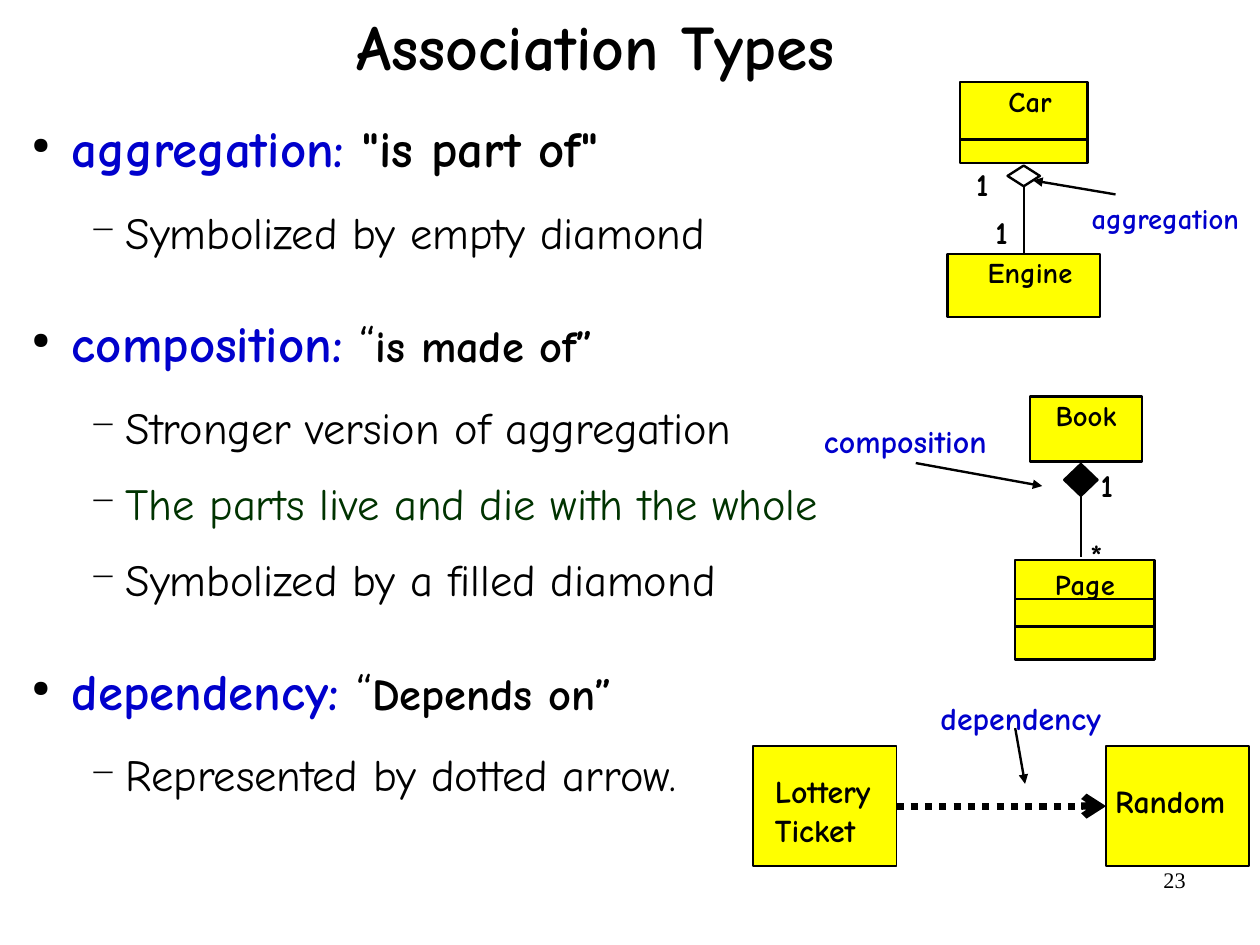
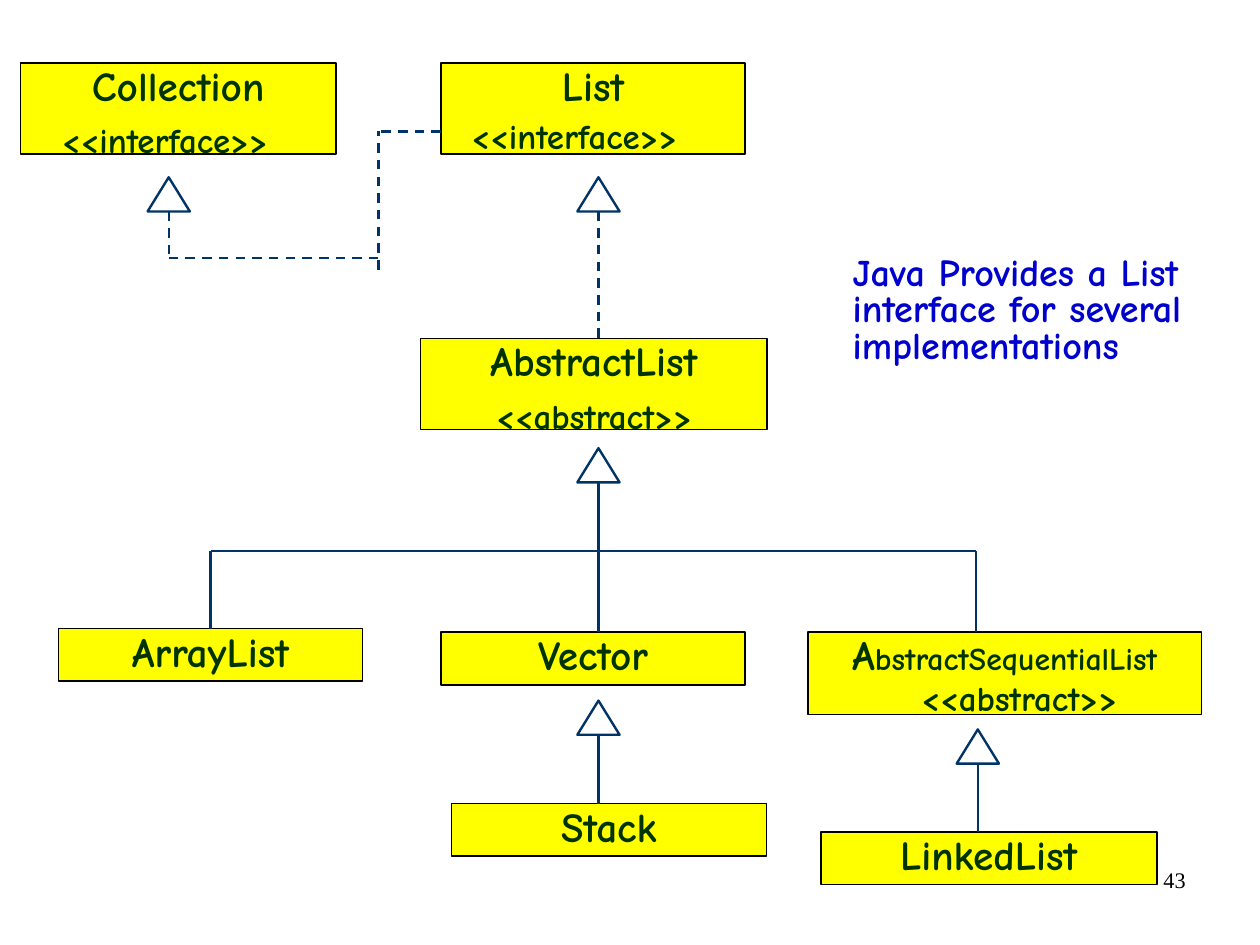
import pptx
import pptx.util
import pptx.dml.color
import pptx.enum.dml
import pptx.enum.shapes
import pptx.enum.text
import pptx.oxml.ns
import lxml.etree

Cm = pptx.util.Cm
Pt = pptx.util.Pt
Kind = pptx.enum.shapes.MSO_SHAPE
Dash = pptx.enum.dml.MSO_LINE
Align = pptx.enum.text.PP_ALIGN
Anchor = pptx.enum.text.MSO_ANCHOR

HUES = {
    "ink": "000000",
    "paper": "FFFFFF",
    "node": "FFFF00",
    "term": "0000CC",
    "leaf": "003300",
    "edge": "003366",
}
FACE = "Comic Neue"
PAD = (0.28, 0.15)
TOP, LEFT, BASE, RIGHT = range(4)
DOT = {"left": 1.17, "hang": -0.89, "sign": "●", "size": 45}
BAR = {"left": 2.36, "hang": -0.79, "sign": "−", "size": 75}


def hue(name):
    return pptx.dml.color.RGBColor.from_string(HUES[name])


def apply(thing, form):
    for key, value in form.items():
        setattr(thing, key, value)


def child(node, tag, **attrs):
    return lxml.etree.SubElement(node, pptx.oxml.ns.qn("a:" + tag), attrs)


def run(text, size, tone="ink", bold=True, face=FACE):
    return text, {"size": Pt(size), "bold": bold, "name": face}, tone


def fill_in(par, runs, form):
    apply(par, form)
    for text, font, tone in runs:
        for i, line in enumerate(text.split("\n")):
            if i:
                par.add_line_break()
            piece = par.add_run()
            piece.text = line
            apply(piece.font, font)
            piece.font.color.rgb = hue(tone)


def set_frame(shape, pad, anchor=Anchor.TOP):
    frame = shape.text_frame
    left, top = pad
    apply(frame, {
        "word_wrap": True,
        "vertical_anchor": anchor,
        "margin_left": Cm(left),
        "margin_right": Cm(min(left, 0.28)),
        "margin_top": Cm(top),
        "margin_bottom": Cm(min(top, 0.15)),
    })
    return frame


def label(slide, box, runs, pad=PAD, anchor=Anchor.TOP, **form):
    shape = slide.shapes.add_textbox(*map(Cm, box))
    frame = set_frame(shape, pad, anchor)
    fill_in(frame.paragraphs[0], runs, form)


def block(slide, box, runs=(), kind=Kind.RECTANGLE, fill="node",
          line="ink", width=1.5, pad=PAD, **form):
    shape = slide.shapes.add_shape(kind, *map(Cm, box))
    shape.shadow.inherit = False
    if fill:
        shape.fill.solid()
        shape.fill.fore_color.rgb = hue(fill)
    else:
        shape.fill.background()
    if line:
        shape.line.color.rgb = hue(line)
        shape.line.width = Pt(width)
    else:
        shape.line.fill.background()
    frame = set_frame(shape, pad)
    fill_in(frame.paragraphs[0], runs, form)
    return shape


def link(slide, start, end, tone="ink", width=1.5, dash=None, head=None):
    joins = [spot if hasattr(spot[0], "shape_id") else None
             for spot in (start, end)]
    ends = [(0, 0) if join else (Cm(spot[0]), Cm(spot[1]))
            for join, spot in zip(joins, (start, end))]
    wire = slide.shapes.add_connector(
        pptx.enum.shapes.MSO_CONNECTOR.STRAIGHT, *ends[0], *ends[1])
    if joins[0]:
        wire.begin_connect(*joins[0])
    if joins[1]:
        wire.end_connect(*joins[1])
    wire.line.color.rgb = hue(tone)
    wire.line.width = Pt(width)
    if dash:
        wire.line.dash_style = dash
    if head:
        child(wire.line._get_or_add_ln(), "tailEnd", type=head)
    child(wire._element.spPr, "effectLst")


def page(deck, number):
    slide = deck.slides.add_slide(deck.slide_layouts[6])
    label(slide, (20.07, 19.13, 6.53, 1.45),
          [run(number, 14, bold=False, face="Times New Roman")],
          pad=(0.25, 0.13), alignment=Align.RIGHT)
    return slide


def title(slide, box, text):
    label(slide, box, [run(text, 40)], pad=(0, 0), anchor=Anchor.MIDDLE,
          alignment=Align.CENTER, line_spacing=0.88)


def points(slide, box, items):
    shape = slide.shapes.add_textbox(*map(Cm, box))
    frame = set_frame(shape, (0, 0))
    for i, (mark, after, runs) in enumerate(items):
        par = frame.paragraphs[0] if i == 0 else frame.add_paragraph()
        props = par._p.get_or_add_pPr()
        props.set("marL", str(Cm(mark["left"])))
        props.set("indent", str(Cm(mark["hang"])))
        child(child(props, "buClr"), "srgbClr", val=HUES["ink"])
        child(props, "buSzPct", val=str(mark["size"] * 1000))
        child(props, "buChar", char=mark["sign"])
        fill_in(par, runs, {"line_spacing": 1.1, "space_after": Pt(after)})


def named(slide, box, text, **form):
    look = {"alignment": Align.CENTER, "line_spacing": 0.88, **form}
    return block(slide, box, [run(text, 18)], **look)


def cuts(slide, box, drops):
    x, y, w, h = box
    for drop in drops:
        link(slide, (x, y + drop), (x + w, y + drop))


def counts(slide, x, y, marks):
    for dx, dy, text in marks:
        label(slide, (x + dx, y + dy, 1.2, 1.12), [run(text, 20)])


def car_part(slide, box):
    x, y, w, h = box
    mid = x + w / 2
    car = (mid - 1.42, y, 2.84, 1.8)
    named(slide, car, "Car", pad=(0.56, 0.13))
    cuts(slide, car, [1.27])
    engine = named(slide, (x, y + h - 1.4, w, 1.4), "Engine", pad=(0.56, 0.13))
    gem = block(slide, (mid - 0.36, y + 1.85, 0.72, 0.46),
                kind=Kind.DIAMOND, fill=None)
    link(slide, (gem, BASE), (engine, TOP))
    counts(slide, x, y, [(0.35, 1.68, "1"), (0.78, 2.74, "1")])
    label(slide, (x + 2.92, y + 2.49, 4.02, 1.04),
          [run("aggregation", 18, "term")])
    link(slide, (x + 3.73, y + 2.49), (x + 1.9, y + 2.18), head="triangle")


def book_part(slide, box):
    x, y, w, h = box
    leaf = (x + w - 3.1, y + h - 2.21, 3.1, 2.21)
    named(slide, (x + 4.86, y, 2.49, 1.45), "Book", pad=(0.28, 0.13))
    named(slide, leaf, "Page", line_spacing=1.0)
    cuts(slide, leaf, [0.86, 1.47])
    gem = block(slide, (x + 5.62, y + 1.5, 0.74, 0.71),
                kind=Kind.DIAMOND, fill="ink")
    link(slide, (gem, BASE), (x + 5.99, y + 3.56))
    counts(slide, x, y, [(6.15, 1.4, "1"), (5.92, 2.95, "*")])
    label(slide, (x, y + 0.41, 5.05, 1.12), [run("composition", 20, "term")])
    link(slide, (x + 2.32, y + 1.48), (x + 5.13, y + 1.99), head="triangle")


def need_part(slide, box):
    x, y, w, h = box
    wide, tall = 3.18, 2.67
    low = y + h - tall
    user = block(slide, (x, low, wide, tall), [run("Lottery\nTicket", 20)],
                 width=1, pad=(0.48, 0.58), alignment=Align.LEFT)
    tool = block(slide, (x + w - wide, low, wide, tall), [run("Random", 20)],
                 pad=(0.2, 0.79), alignment=Align.LEFT)
    link(slide, (user, RIGHT), (tool, LEFT), width=4.5,
         dash=Dash.ROUND_DOT, head="arrow")
    label(slide, (x + 3.88, y, 4.55, 1.12), [run("dependency", 20, "term")])
    link(slide, (x + 5.82, y + 0.81), (x + 6.04, y + 2.05), head="triangle")


def kinds(deck):
    slide = page(deck, "23")
    title(slide, (1.3, 0, 23.88, 2.26), "Association Types")

    def main_item(term, *rest):
        return DOT, 13.8, [run(term, 32, "term"), *rest]

    def sub_item(text, after=10.9, tone="ink"):
        return BAR, after, [run(text, 28, tone, False)]

    quote = run(" “", 32, bold=False)
    points(slide, (0.43, 2.46, 18.95, 16.08), [
        main_item("aggregation: ", run('"is part of"', 32)),
        sub_item("Symbolized by empty diamond", 30),
        main_item("composition:", quote, run("is made of”", 28)),
        sub_item("Stronger version of aggregation"),
        sub_item("The parts live and die with the whole", tone="leaf"),
        sub_item("Symbolized by a filled diamond", 30),
        main_item("dependency:", quote, run("Depends on”", 28)),
        sub_item("Represented by dotted arrow."),
    ])
    car_part(slide, (21.06, 1.83, 3.38, 5.21))
    book_part(slide, (18.03, 8.81, 7.63, 5.85))
    need_part(slide, (16.74, 15.37, 11.02, 3.88))


def tree(slide, box):
    x, y, w, h = box

    def wire(start, end, dash=None):
        spots = [spot if hasattr(spot[0], "shape_id")
                 else (x + spot[0], y + spot[1]) for spot in (start, end)]
        link(slide, *spots, tone="edge", dash=dash)

    nodes = [
        ("Collection", 0, 0, 7.01, 2.03, "<<interface>>", 0.63, 1.27),
        ("List", 9.34, 0, 6.76, 2.03, "<<interface>>", 0.39, 1.17),
        ("AbstractList", 8.89, 6.12, 7.7, 2.03, "<<abstract>>", 1.39, 1.27),
        ("ArrayList", 0.84, 12.57, 6.76, 1.17, "", 0, 0),
        ("Vector", 9.34, 12.65, 6.76, 1.17, "", 0, 0),
        ("AbstractSequentialList", 17.5, 12.65, 8.74, 1.83,
         "<<abstract>>", 2.23, 1.01),
        ("Stack", 9.57, 16.46, 7.01, 1.17, "", 0, 0),
        ("LinkedList", 17.78, 17.09, 7.47, 1.17, "", 0, 0),
    ]
    made = {}
    for name, dx, dy, wide, tall, tag, right, down in nodes:
        runs = [run(name, 26, "leaf")]
        if len(name) > 15:
            runs = [run(name[0], 26, "leaf"), run(name[1:], 20, "leaf")]
        made[name] = block(slide, (x + dx, y + dy, wide, tall), runs, width=1,
                           alignment=Align.CENTER, line_spacing=0.8)
        if tag:
            label(slide, (x + dx + right, y + dy + down, 5.92, 1.02),
                  [run(tag, 22, "leaf")], line_spacing=0.8)

    stem, bus, bend = 12.84, 10.84, 4.34
    for mid, top, foot, dash in [
        (3.29, 2.54, bend, Dash.DASH),
        (stem, 2.54, 6.12, Dash.DASH),
        (stem, 8.56, bus, None),
        (stem, 14.17, 16.46, None),
        (21.27, 14.81, 17.09, None),
    ]:
        tip = block(slide, (x + mid - 0.47, y + top, 0.94, 0.76),
                    kind=Kind.FLOWCHART_EXTRACT, fill=None, line="edge")
        wire((tip, BASE), (mid, foot), dash)

    wire((3.29, bend), (7.95, bend), Dash.DASH)
    wire((7.95, 4.59), (7.95, 1.52), Dash.DASH)
    wire((9.34, 1.52), (7.95, 1.52), Dash.DASH)
    wire((4.22, bus), (21.23, bus))
    wire((made["ArrayList"], TOP), (4.22, bus))
    for mid in (stem, 21.23):
        wire((mid, 12.65), (mid, bus))


def lists(deck):
    slide = page(deck, "43")
    tree(slide, (0.46, 1.4, 26.24, 18.26))
    block(slide, (18.67, 5.56, 9.33, 2.72),
          [run("Java Provides a List interface for several implementations",
               24, "term")],
          fill="paper", line=None, alignment=Align.LEFT, line_spacing=0.8)


def main():
    deck = pptx.Presentation()
    apply(deck, {"slide_width": Cm(28), "slide_height": Cm(21)})
    kinds(deck)
    lists(deck)
    deck.save("out.pptx")


if __name__ == "__main__":
    main()
